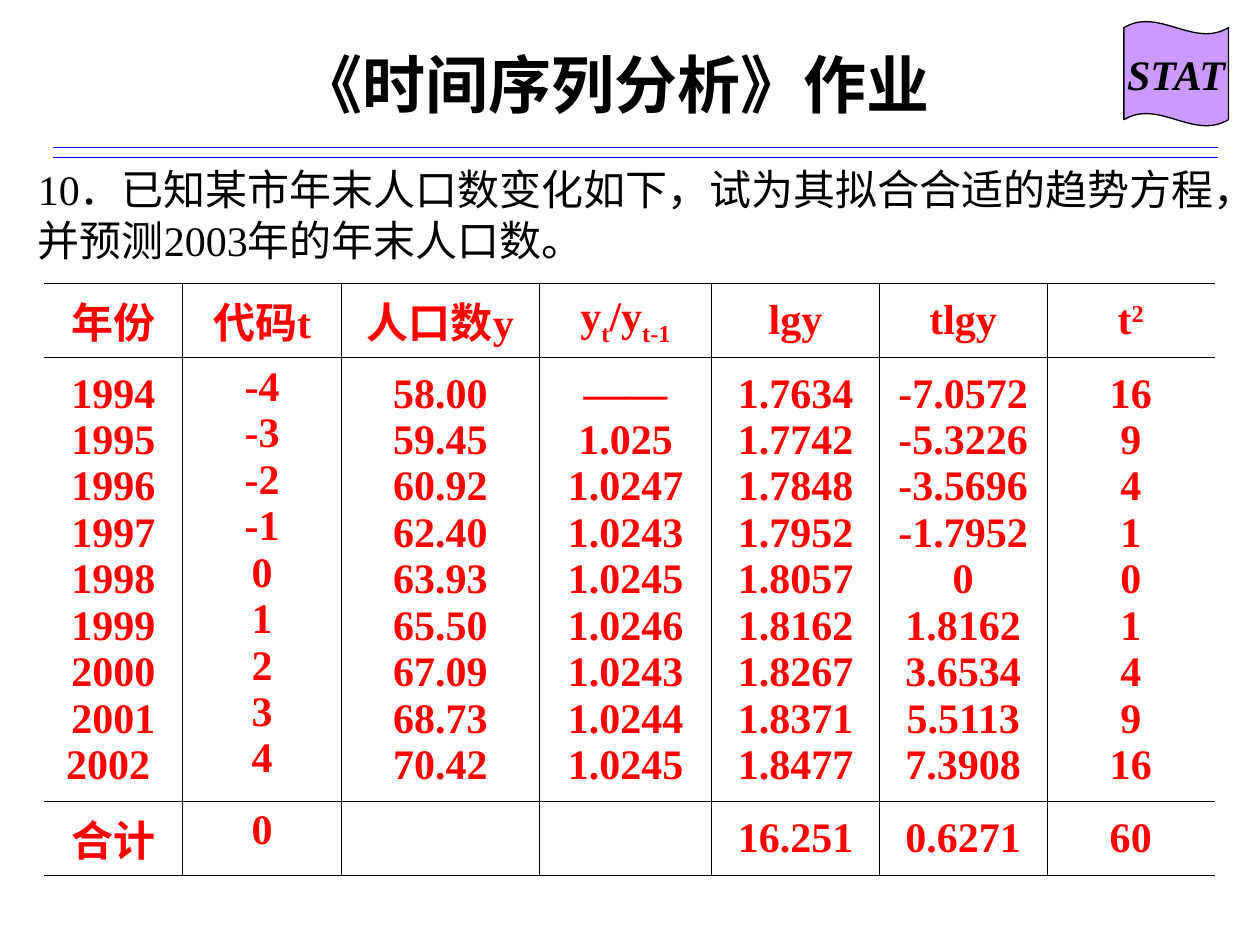
"""Build the time series homework slide with its population trend table."""
from dataclasses import dataclass

from lxml.etree import SubElement
from pptx import Presentation
from pptx.dml.color import RGBColor
from pptx.enum.shapes import MSO_CONNECTOR, MSO_SHAPE
from pptx.enum.text import MSO_ANCHOR, MSO_AUTO_SIZE, PP_ALIGN
from pptx.oxml.ns import qn
from pptx.util import Inches, Pt


@dataclass(frozen=True)
class Theme:
    font: str = "Times New Roman"
    ink: str = "000000"
    rule: str = "0000FF"
    badge: str = "CC99FF"
    data: str = "FF0000"
    title_size: int = 36
    text_size: int = 24
    line: float = 0.75
    edge: float = 1.08
    grid: float = 0.45
    hairline: float = 0.11


TITLE = "《时间序列分析》作业"
QUESTION = "10．已知某市年末人口数变化如下，试为其拟合合适的趋势方程，并预测2003年的年末人口数。"
HEADERS = [
    [("年份", 0)],
    [("代码t", 0)],
    [("人口数y", 0)],
    [("y", 0), ("t", -25), ("/y", 0), ("t-1", -25)],
    [("lgy", 0)],
    [("tlgy", 0)],
    [("t", 0), ("2", 30)],
]
RECORDS = [
    ("1994", "-4", "58.00", "——", "1.7634", "-7.0572", "16"),
    ("1995", "-3", "59.45", "1.025", "1.7742", "-5.3226", "9"),
    ("1996", "-2", "60.92", "1.0247", "1.7848", "-3.5696", "4"),
    ("1997", "-1", "62.40", "1.0243", "1.7952", "-1.7952", "1"),
    ("1998", "0", "63.93", "1.0245", "1.8057", "0", "0"),
    ("1999", "1", "65.50", "1.0246", "1.8162", "1.8162", "1"),
    ("2000", "2", "67.09", "1.0243", "1.8267", "3.6534", "4"),
    ("2001", "3", "68.73", "1.0244", "1.8371", "5.5113", "9"),
    ("2002 ", "4", "70.42", "1.0245", "1.8477", "7.3908", "16"),
]
TOTALS = ("合计", "0", "", "", "16.251", "0.6271", "60")
COL_WIDTHS = (1.1, 1.26, 1.57, 1.37, 1.33, 1.33, 1.33)
ROW_HEIGHTS = (0.59, 3.52, 0.59)
CODE_COLUMN = 1


class SlideBuilder:
    """Hold the theme and the current slide, and add each kind of element."""

    def __init__(self, slide, theme):
        self.s = slide
        self.theme = theme

    def add_text(self, tf, paragraphs, size, color, bold=False, italic=False,
                 align=PP_ALIGN.CENTER):
        """Fill a text frame with paragraphs made of (text, baseline) runs."""
        for i, runs in enumerate(paragraphs):
            p = tf.paragraphs[0] if i == 0 else tf.add_paragraph()
            p.alignment = align
            p.space_before = Pt(0)
            for text, baseline in runs:
                r = p.add_run()
                r.text = text
                r.font.name = self.theme.font
                r.font.size = Pt(size)
                r.font.bold = bold
                r.font.italic = italic
                r.font.color.rgb = RGBColor.from_string(color)
                if baseline:
                    r._r.get_or_add_rPr().set("baseline", str(baseline * 1000))

    def placeholder(self, sp, box, text, size, anchor, **style):
        """Move a template placeholder and fill it."""
        sp.left, sp.top, sp.width, sp.height = map(Inches, box)
        tf = sp.text_frame
        tf.word_wrap = True
        tf.auto_size = MSO_AUTO_SIZE.NONE
        tf.vertical_anchor = anchor
        self.add_text(tf, [[(text, 0)]], size, self.theme.ink, **style)

    def rule(self, left, right, y):
        """Add a horizontal line."""
        ln = self.s.shapes.add_connector(
            MSO_CONNECTOR.STRAIGHT, Inches(left), Inches(y), Inches(right), Inches(y))
        ln.line.color.rgb = RGBColor.from_string(self.theme.rule)
        ln.line.width = Pt(self.theme.line)
        SubElement(ln._element.spPr, qn("a:effectLst"))

    def badge(self, box, text):
        """Add a waving flag with a label."""
        sp = self.s.shapes.add_shape(MSO_SHAPE.WAVE, *map(Inches, box))
        sp.adjustments[0] = 0.06
        sp.shadow.inherit = False
        sp.fill.solid()
        sp.fill.fore_color.rgb = RGBColor.from_string(self.theme.badge)
        sp.line.color.rgb = RGBColor.from_string(self.theme.ink)
        sp.line.width = Pt(self.theme.line)
        tf = sp.text_frame
        tf.word_wrap = False
        tf.vertical_anchor = MSO_ANCHOR.MIDDLE
        self.add_text(tf, [[(text, 0)]], self.theme.text_size, self.theme.ink,
                      bold=True, italic=True)

    def border(self, cell, side, width):
        """Set one cell border, or none when the width is zero."""
        ln = SubElement(cell._tc.get_or_add_tcPr(), qn(f"a:{side}"), w=str(Pt(width)))
        if not width:
            SubElement(ln, qn("a:noFill"))
            return
        fill = SubElement(ln, qn("a:solidFill"))
        SubElement(fill, qn("a:srgbClr"), val=self.theme.ink)

    def table(self, left, top, widths, heights, rows):
        """Add an open-sided table; each cell is a list of paragraphs."""
        t = self.theme
        frame = self.s.shapes.add_table(
            len(rows), len(widths), Inches(left), Inches(top),
            Inches(sum(widths)), Inches(sum(heights)))
        tbl = frame.table
        tbl.first_row = tbl.horz_banding = False
        for col, width in zip(tbl.columns, widths):
            col.width = Inches(width)
        for row, height in zip(tbl.rows, heights):
            row.height = Inches(height)
        levels = (t.edge, t.grid, t.hairline, t.edge)
        last = len(widths) - 1
        for i, row in enumerate(rows):
            for j, paragraphs in enumerate(row):
                cell = tbl.cell(i, j)
                self.border(cell, "lnL", t.grid if j else 0)
                self.border(cell, "lnR", t.grid if j < last else 0)
                self.border(cell, "lnT", levels[i])
                self.border(cell, "lnB", levels[i + 1])
                cell.fill.background()
                top_set = i > 0 and j == CODE_COLUMN
                cell.vertical_anchor = MSO_ANCHOR.TOP if top_set else MSO_ANCHOR.MIDDLE
                self.add_text(cell.text_frame, paragraphs, t.text_size, t.data, bold=True)


def main():
    prs = Presentation()
    prs.slide_width, prs.slide_height = Inches(10), Inches(7.5)
    s = prs.slides.add_slide(prs.slide_layouts[0])
    theme = Theme()
    b = SlideBuilder(s, theme)
    b.placeholder(s.shapes.title, (0.5, 0.33, 8.75, 0.67), TITLE, theme.title_size,
                  MSO_ANCHOR.MIDDLE, bold=True)
    for y in (1.17, 1.25):
        b.rule(0.42, 9.67, y)
    b.badge((8.92, 0.17, 0.83, 0.83), "STAT")
    b.placeholder(s.placeholders[1], (0.2, 1.25, 9.61, 6), QUESTION, theme.text_size,
                  MSO_ANCHOR.TOP, align=PP_ALIGN.LEFT)
    header = [[runs] for runs in HEADERS]
    body = [[[(value, 0)] for value in column] for column in zip(*RECORDS)]
    totals = [[[(value, 0)]] if value else [] for value in TOTALS]
    b.table(0.35, 2.25, COL_WIDTHS, ROW_HEIGHTS, [header, body, totals])
    prs.save("out.pptx")


if __name__ == "__main__":
    main()
